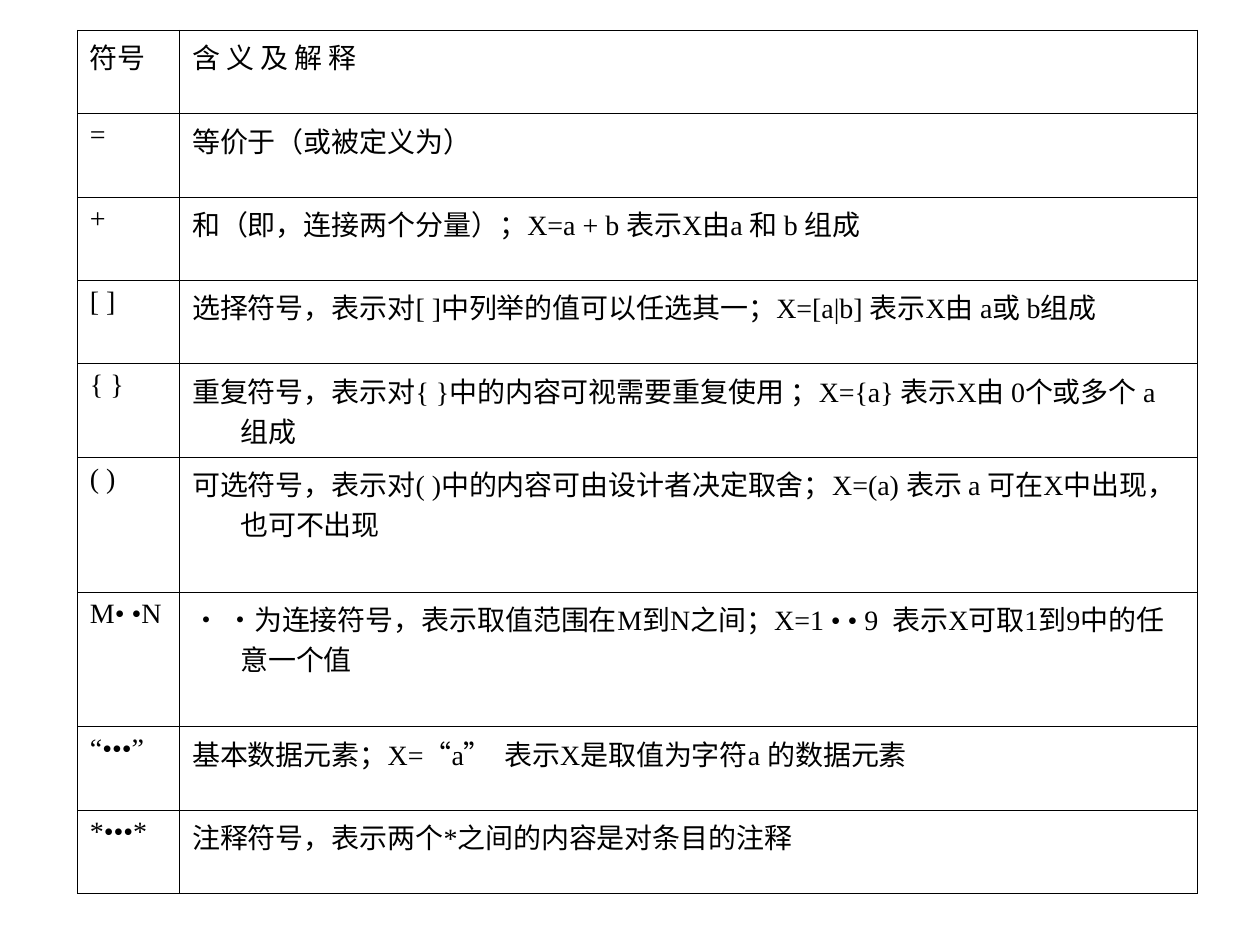
from dataclasses import dataclass

from lxml.etree import SubElement
from pptx import Presentation
from pptx.dml.color import RGBColor
from pptx.enum.lang import MSO_LANGUAGE_ID as Language
from pptx.enum.text import MSO_ANCHOR as Anchor
from pptx.oxml.ns import qn
from pptx.util import Cm, Pt


@dataclass(frozen=True)
class Theme:
    font: str = "Times New Roman"
    size: float = 16
    ink: str = "000000"
    border: float = 0.45


THEME = Theme()
SHORT_ROW, TALL_ROW = 1.68, 2.72  # cm
COLUMN_WIDTHS = (2.06, 20.52)  # cm
HANGING_INDENT = Cm(0.97)

# Symbol, meaning, row height
SYMBOLS = [
    ("符号", "含 义 及 解 释", SHORT_ROW),
    ("=", "等价于（或被定义为）", SHORT_ROW),
    ("+", "和（即，连接两个分量）；X=a + b 表示X由a 和 b 组成", SHORT_ROW),
    ("[ ]", "选择符号，表示对[ ]中列举的值可以任选其一；X=[a|b] 表示X由 a或 b组成", SHORT_ROW),
    ("{ }", "重复符号，表示对{ }中的内容可视需要重复使用 ；X={a} 表示X由 0个或多个 a 组成", SHORT_ROW),
    ("( )", "可选符号，表示对( )中的内容可由设计者决定取舍；X=(a) 表示 a 可在X中出现，也可不出现", TALL_ROW),
    ("M• •N", "• •为连接符号，表示取值范围在M到N之间；X=1 • • 9  表示X可取1到9中的任意一个值", TALL_ROW),
    ("“•••”", "基本数据元素；X=“a”  表示X是取值为字符a 的数据元素", SHORT_ROW),
    ("*•••*", "注释符号，表示两个*之间的内容是对条目的注释", SHORT_ROW),
]


def add_borders(cell):
    """Draw a thin solid line on all four sides of a cell."""
    properties = cell._tc.get_or_add_tcPr()
    for position, side in enumerate(("a:lnL", "a:lnR", "a:lnT", "a:lnB")):
        line = SubElement(properties, qn(side), w=str(Pt(THEME.border)))
        fill = SubElement(line, qn("a:solidFill"))
        SubElement(fill, qn("a:srgbClr"), val=THEME.ink)
        properties.insert(position, line)  # borders come before the fill


def fill_cell(cell, text):
    """Write one cell with a hanging indent."""
    cell.fill.background()
    cell.vertical_anchor = Anchor.TOP
    add_borders(cell)
    para = cell.text_frame.paragraphs[0]
    indent = para._p.get_or_add_pPr()
    indent.set("marL", str(HANGING_INDENT))
    indent.set("indent", str(-HANGING_INDENT))
    span = para.add_run()
    span.text = text
    span.font.name = THEME.font
    span.font.size = Pt(THEME.size)
    span.font.color.rgb = RGBColor.from_string(THEME.ink)
    span.font.language_id = Language.SIMPLIFIED_CHINESE


def add_symbol_table(page, left, top):
    """Place the table of data dictionary symbols."""
    width = sum(COLUMN_WIDTHS)
    height = sum(row_height for _, _, row_height in SYMBOLS)
    frame = page.shapes.add_table(len(SYMBOLS), len(COLUMN_WIDTHS),
                                  Cm(left), Cm(top), Cm(width), Cm(height))
    table = frame.table
    table.first_row = False
    table.horz_banding = False
    for column, column_width in zip(table.columns, COLUMN_WIDTHS):
        column.width = Cm(column_width)
    for row, (symbol, meaning, row_height) in zip(table.rows, SYMBOLS):
        row.height = Cm(row_height)
        for cell, text in zip(row.cells, (symbol, meaning)):
            fill_cell(cell, text)


def main():
    deck = Presentation()
    deck.slide_width, deck.slide_height = Cm(25.4), Cm(19.05)
    page = deck.slides.add_slide(deck.slide_layouts[6])
    add_symbol_table(page, left=1.56, top=0.61)
    deck.save("out.pptx")


if __name__ == "__main__":
    main()
